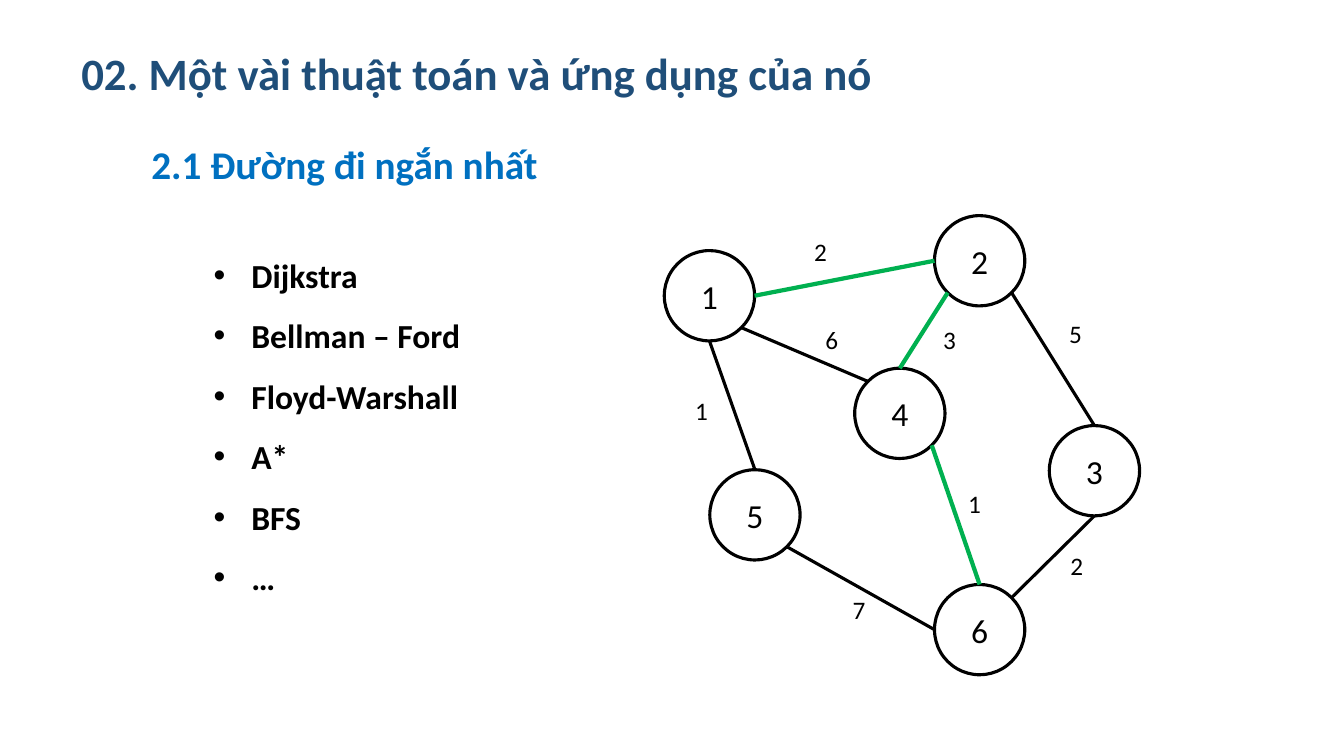
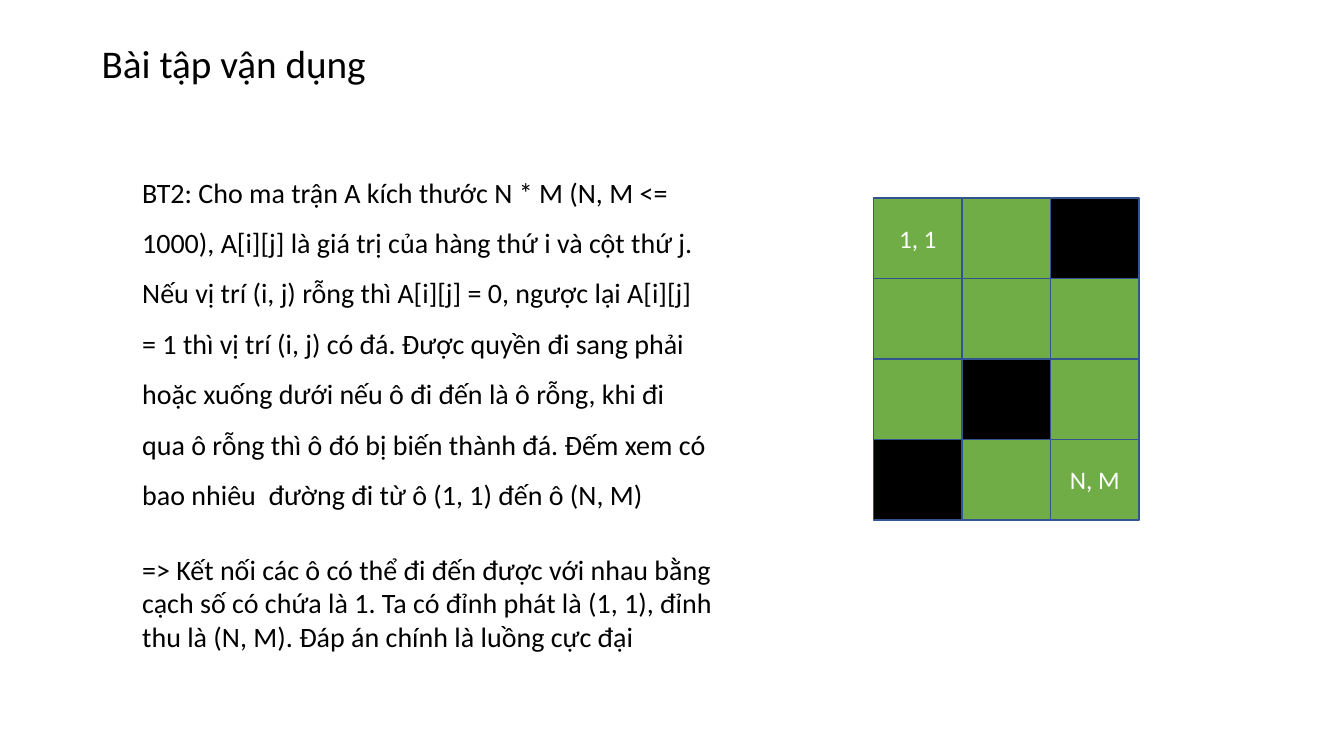
from math import cos, radians, sin

from lxml import etree
from pptx import Presentation
from pptx.dml.color import RGBColor
from pptx.enum.shapes import MSO_CONNECTOR, MSO_SHAPE
from pptx.enum.text import MSO_ANCHOR, PP_ALIGN
from pptx.oxml.ns import qn
from pptx.util import Pt

STRAIGHT = MSO_CONNECTOR.STRAIGHT
OVAL, RECTANGLE = MSO_SHAPE.OVAL, MSO_SHAPE.RECTANGLE
MIDDLE, CENTER = MSO_ANCHOR.MIDDLE, PP_ALIGN.CENTER

FONT = "Calibri"
BLACK = RGBColor(0x00, 0x00, 0x00)
WHITE = RGBColor(0xFF, 0xFF, 0xFF)
NAVY = RGBColor(0x1F, 0x4E, 0x79)
BLUE = RGBColor(0x00, 0x70, 0xC0)
PATH_GREEN = RGBColor(0x00, 0xB0, 0x50)
CELL_GREEN = RGBColor(0x70, 0xAD, 0x47)
CELL_BORDER = RGBColor(0x32, 0x54, 0x91)

BULLET_INDENT = 27
NODE_SIZE = 64.5
LABEL_SIZE = (49, 29)

ALGORITHMS = ["Dijkstra", "Bellman – Ford", "Floyd-Warshall", "A*", "BFS", "…"]

# Node number: left and top inside the graph
NODES = {1: (0, 25), 2: (193, 0), 3: (275, 150),
         4: (136, 109), 5: (32.5, 181.5), 6: (193, 263.5)}

# Ellipse connection sites, counted anticlockwise from the top
TOP, TOP_LEFT, LEFT, BOTTOM_LEFT, BOTTOM, BOTTOM_RIGHT, RIGHT, TOP_RIGHT = range(8)

# Start node and site, end node and site, weight, label left and top, on shortest path
EDGES = [
    (1, BOTTOM_RIGHT, 4, TOP_LEFT, "6", (108, 74), False),
    (1, RIGHT, 2, LEFT, "2", (100, 11), True),
    (2, BOTTOM_RIGHT, 3, TOP, "5", (282, 70), False),
    (3, BOTTOM, 6, TOP_RIGHT, "2", (283, 235.5), False),
    (2, BOTTOM_LEFT, 4, TOP, "3", (192, 74), True),
    (4, BOTTOM_RIGHT, 6, TOP, "1", (210, 191.5), True),
    (1, BOTTOM, 5, TOP, "1", (15, 124.5), False),
    (5, BOTTOM_RIGHT, 6, LEFT, "7", (127.5, 267), False),
]

# "." is a free cell, "#" a stone
MATRIX = ["..#", "...", ".#.", "#.."]
CELL_TEXTS = {(0, 0): "1, 1", (3, 2): "N, M"}

EXERCISE = (
    "BT2: Cho ma trận A kích thước N * M (N, M <= 1000), A[i][j] là giá trị của "
    "hàng thứ i và cột thứ j. Nếu vị trí (i, j) rỗng thì A[i][j] = 0, ngược lại "
    "A[i][j] = 1 thì vị trí (i, j) có đá. Được quyền đi sang phải hoặc xuống dưới "
    "nếu ô đi đến là ô rỗng, khi đi qua ô rỗng thì ô đó bị biến thành đá. Đếm xem "
    "có bao nhiêu  đường đi từ ô (1, 1) đến ô (N, M)"
)
SOLUTION = (
    "=> Kết nối các ô có thể đi đến được với nhau bằng cạch số có chứa là 1. "
    "Ta có đỉnh phát là (1, 1), đỉnh thu là (N, M). Đáp án chính là luồng cực đại"
)


def add_run(paragraph, text, size, color, bold=False):
    run = paragraph.add_run()
    run.text = text
    run.font.name = FONT
    run.font.size = Pt(size)
    run.font.bold = bold
    run.font.color.rgb = color


def add_bullet(paragraph):
    properties = paragraph._p.get_or_add_pPr()
    properties.set("marL", str(Pt(BULLET_INDENT)))
    properties.set("indent", str(-Pt(BULLET_INDENT)))
    etree.SubElement(properties, qn("a:buFont")).set("typeface", "Arial")
    etree.SubElement(properties, qn("a:buChar")).set("char", "•")


def add_text(slide, box, lines, size, color=BLACK, bold=False, spacing=1, bullets=False):
    """Place a wrapped text box with one paragraph for each line."""
    frame = slide.shapes.add_textbox(*map(Pt, box)).text_frame
    frame.word_wrap = True
    for index, line in enumerate(lines):
        paragraph = frame.add_paragraph() if index else frame.paragraphs[0]
        paragraph.line_spacing = spacing
        if bullets:
            add_bullet(paragraph)
        add_run(paragraph, line, size, color, bold)


def add_block(slide, kind, box, fill, border, border_width, text, size, color):
    """Place a filled, outlined shape with centred text."""
    block = slide.shapes.add_shape(kind, *map(Pt, box))
    block.shadow.inherit = False
    block.fill.solid()
    block.fill.fore_color.rgb = fill
    block.line.color.rgb = border
    block.line.width = Pt(border_width)
    if text:
        block.text_frame.vertical_anchor = MIDDLE
        paragraph = block.text_frame.paragraphs[0]
        paragraph.alignment = CENTER
        add_run(paragraph, text, size, color)
    return block


def site_point(node, site):
    """Return the point of a connection site on a node's outline."""
    angle = radians(90 + 45 * site)
    radius = node.width / 2
    return (round(node.left + radius * (1 + cos(angle))),
            round(node.top + radius * (1 - sin(angle))))


def add_edge(slide, start, start_site, end, end_site, color, width):
    """Draw a line glued to the connection sites of two nodes."""
    edge = slide.shapes.add_connector(
        STRAIGHT, *site_point(start, start_site), *site_point(end, end_site))
    edge.line.color.rgb = color
    edge.line.width = Pt(width)
    etree.SubElement(edge._element.spPr, qn("a:effectLst"))
    glue = edge._element.nvCxnSpPr.cNvCxnSpPr
    for tag, node, site in (("a:stCxn", start, start_site), ("a:endCxn", end, end_site)):
        joint = etree.SubElement(glue, qn(tag))
        joint.set("id", str(node.shape_id))
        joint.set("idx", str(site))


def add_graph(slide, left, top):
    """Draw the weighted graph with its shortest path in green."""
    nodes = {
        number: add_block(slide, OVAL, (left + x, top + y, NODE_SIZE, NODE_SIZE),
                          WHITE, BLACK, 2.25, str(number), 24, BLACK)
        for number, (x, y) in NODES.items()
    }
    for start, start_site, end, end_site, weight, (x, y), on_path in EDGES:
        color, width = (PATH_GREEN, 3) if on_path else (BLACK, 2.25)
        add_edge(slide, nodes[start], start_site, nodes[end], end_site, color, width)
        add_text(slide, (left + x, top + y, *LABEL_SIZE), [weight], 18)


def add_matrix(slide, left, top, width, height):
    """Fill the box with the cells of the matrix."""
    cell_width = width / len(MATRIX[0])
    cell_height = height / len(MATRIX)
    for row, cells in enumerate(MATRIX):
        for column, cell in enumerate(cells):
            box = (left + column * cell_width, top + row * cell_height,
                   cell_width, cell_height)
            add_block(slide, RECTANGLE, box, BLACK if cell == "#" else CELL_GREEN,
                      CELL_BORDER, 1, CELL_TEXTS.get((row, column)), 18, WHITE)


def build_shortest_path(slide):
    add_text(slide, (51, 29, 620, 46), ["02. Một vài thuật toán và ứng dụng của nó"],
             32, NAVY, bold=True)
    add_text(slide, (101, 97, 320, 41), ["2.1 Đường đi ngắn nhất"], 28, BLUE, bold=True)
    add_text(slide, (145.5, 164, 305, 352), ALGORITHMS, 24,
             bold=True, spacing=1.5, bullets=True)
    add_graph(slide, 474.5, 154)


def build_exercise(slide):
    add_text(slide, (65.5, 24.5, 391, 41), ["Bài tập vận dụng"], 28)
    add_text(slide, (94.5, 109.5, 418.5, 258), [EXERCISE], 20, spacing=1.5)
    add_text(slide, (94.5, 391, 452, 80), [SOLUTION], 20)
    add_matrix(slide, 624, 141.5, 189.6, 230)


def main():
    presentation = Presentation()
    presentation.slide_width, presentation.slide_height = Pt(960), Pt(540)
    blank = presentation.slide_layouts[6]
    for build in (build_shortest_path, build_exercise):
        build(presentation.slides.add_slide(blank))
    presentation.save("out.pptx")


if __name__ == "__main__":
    main()
